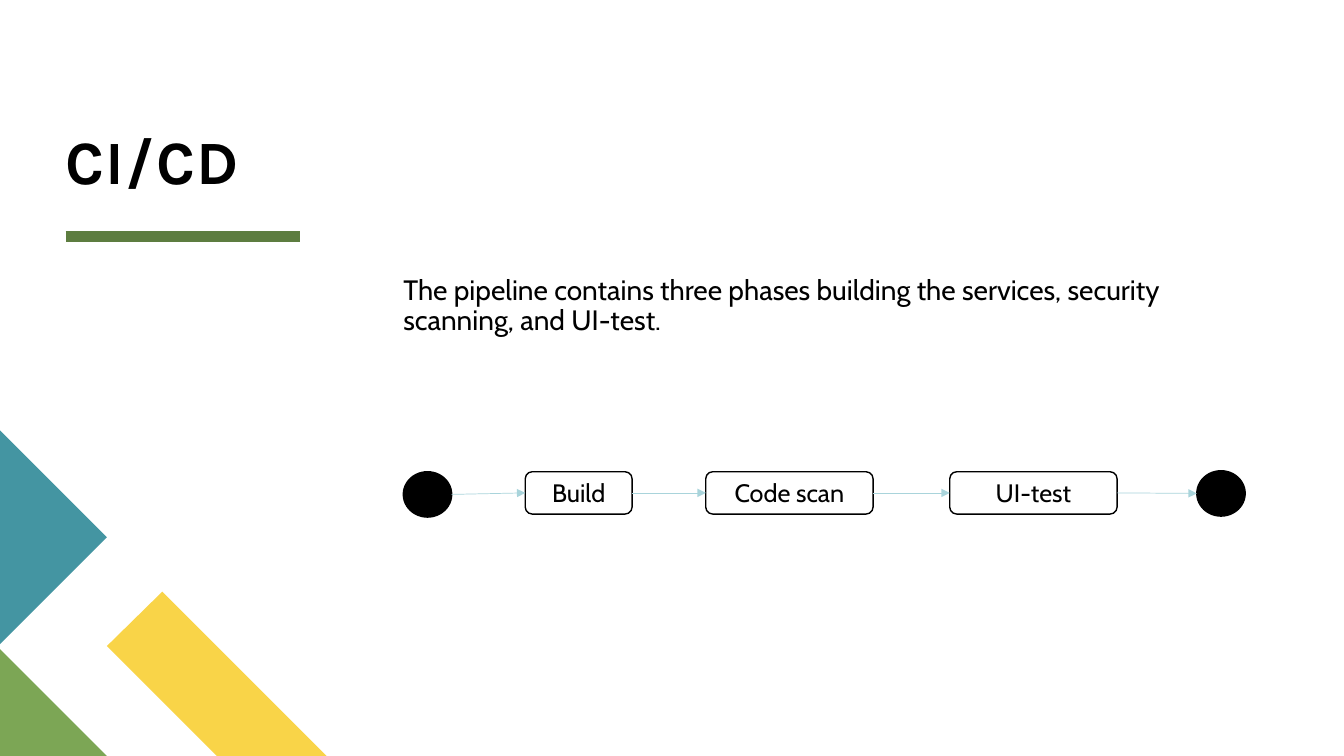
import pptx
import pptx.dml.color
import pptx.enum.shapes
import pptx.enum.text
import pptx.oxml.ns
import pptx.util
from lxml import etree

Inches = pptx.util.Inches
Shape = pptx.enum.shapes.MSO_SHAPE
Anchor = pptx.enum.text.MSO_ANCHOR
qn = pptx.oxml.ns.qn


def color(hex_code):
    return pptx.dml.color.RGBColor.from_string(hex_code)


def add_line(start, end, hex_code, width):
    line = slide.shapes.add_connector(
        pptx.enum.shapes.MSO_CONNECTOR.STRAIGHT, *map(Inches, start + end))
    line.line.color.rgb = color(hex_code)
    line.line.width = pptx.util.Pt(width)
    etree.SubElement(line._element.spPr, qn("a:effectLst"))
    return line


presentation = pptx.Presentation()
presentation.slide_width = Inches(13.33)
presentation.slide_height = Inches(7.5)
slide = presentation.slides.add_slide(presentation.slide_layouts[5])

# Title and its underline
add_line((0.65, 2.35), (2.98, 2.35), "5D7D40", 8)
title = slide.shapes.title
title.left, title.top = Inches(0.65), Inches(0.11)
title.width, title.height = Inches(11.89), Inches(1.84)
title.text_frame.text = "CI/CD"

# Description
description = slide.shapes.add_textbox(
    Inches(4), Inches(2.49), Inches(8.54), Inches(4.05))
description.text_frame.text = (
    "The pipeline contains three phases building the services, "
    "security scanning, and UI-test.")

for shape, anchor, top_inset, spacing, font_name, size in (
        (title, Anchor.BOTTOM, 0, 0.8, "Karla", 44),
        (description, Anchor.TOP, 0.25, 0.9, "Cabin", 20)):
    frame = shape.text_frame
    frame.word_wrap = True
    frame.auto_size = pptx.enum.text.MSO_AUTO_SIZE.NONE
    frame.vertical_anchor = anchor
    frame.margin_left = frame.margin_right = frame.margin_bottom = 0
    frame.margin_top = Inches(top_inset)
    paragraph = frame.paragraphs[0]
    paragraph.alignment = pptx.enum.text.PP_ALIGN.LEFT
    paragraph.line_spacing = spacing
    font = paragraph.runs[0].font
    font.name = font_name
    font.size = pptx.util.Pt(size)
    font.color.rgb = color("000000")

title_run = title.text_frame.paragraphs[0].runs[0]
title_run.font.bold = True
title_run._r.get_or_add_rPr().set("spc", "100")

# Corner decoration
decorations = (
    ("F9D448", ((3.24, 7.5), (2.15, 7.5), (1.06, 6.41), (1.61, 5.87))),
    ("7CA655", ((1.06, 7.5), (0, 7.5), (0, 6.44))),
    ("4495A2", ((0, 4.27), (1.06, 5.33), (0, 6.39))),
)
for hex_code, corners in decorations:
    points = [(Inches(x), Inches(y)) for x, y in corners]
    builder = slide.shapes.build_freeform(*points[0])
    builder.add_line_segments(points[1:], close=True)
    decoration = builder.convert_to_shape()
    decoration.shadow.inherit = False
    decoration.fill.solid()
    decoration.fill.fore_color.rgb = color(hex_code)
    decoration.line.fill.background()

# Pipeline: left, top, width, height and label; the end points have no label
steps = (
    (4, 4.68, 0.48, 0.45, ""),
    (5.21, 4.68, 1.06, 0.42, "Build"),
    (7, 4.68, 1.66, 0.42, "Code scan"),
    (9.42, 4.68, 1.66, 0.42, "UI-test"),
    (11.87, 4.67, 0.48, 0.45, ""),
)
for left, top, width, height, label in steps:
    step = slide.shapes.add_shape(
        Shape.ROUNDED_RECTANGLE if label else Shape.OVAL,
        Inches(left), Inches(top), Inches(width), Inches(height))
    step.shadow.inherit = False
    step.line.color.rgb = color("000000")
    step.line.width = pptx.util.Pt(1)
    if not label:
        step.fill.solid()
        step.fill.fore_color.rgb = color("000000")
        continue
    step.fill.background()
    step.text_frame.text = label
    step.text_frame.vertical_anchor = Anchor.MIDDLE
    paragraph = step.text_frame.paragraphs[0]
    paragraph.alignment = pptx.enum.text.PP_ALIGN.CENTER
    font = paragraph.runs[0].font
    font.name = "Cabin"
    font.size = pptx.util.Pt(18)
    font.color.rgb = color("000000")

# Arrows join the middles of neighbouring steps
for source, target in zip(steps, steps[1:]):
    arrow = add_line((source[0] + source[2], source[1] + source[3] / 2),
                     (target[0], target[1] + target[3] / 2), "A9D4DB", 0.5)
    etree.SubElement(arrow.line._get_or_add_ln(), qn("a:tailEnd"), type="triangle")

presentation.save("out.pptx")
